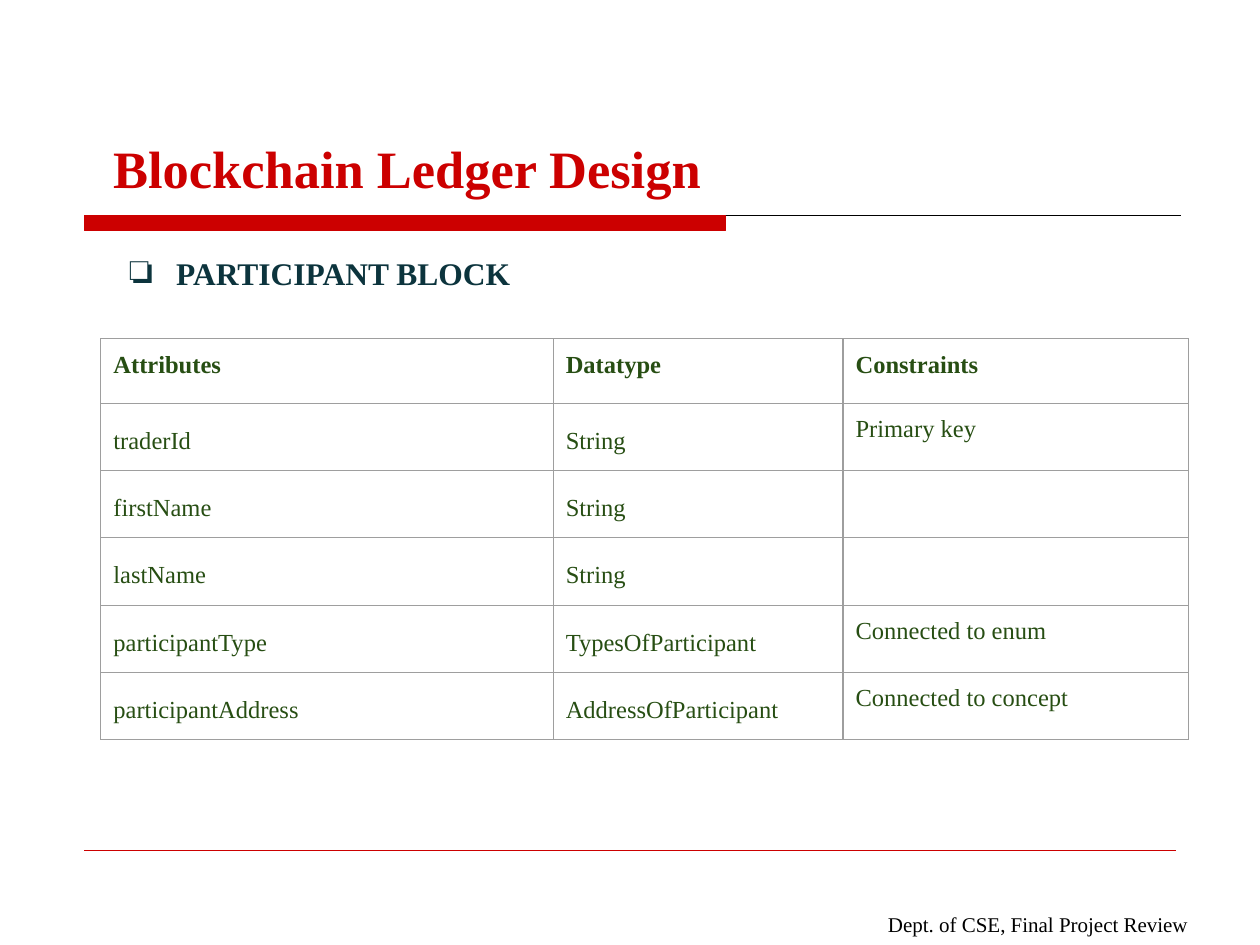
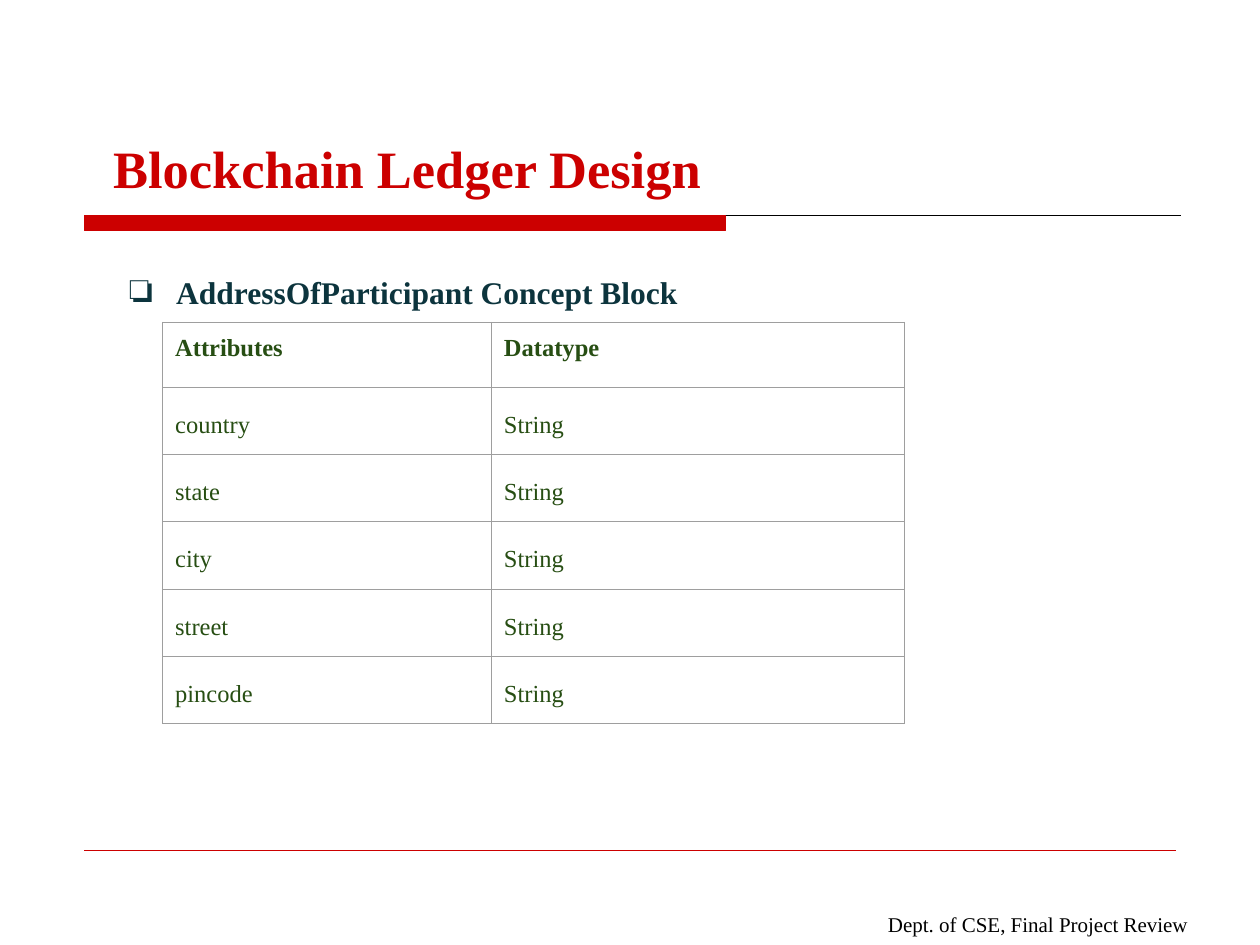
from dataclasses import dataclass

from lxml.etree import SubElement
from pptx import Presentation
from pptx.dml.color import RGBColor as Color
from pptx.enum.shapes import MSO_CONNECTOR as Connector, MSO_SHAPE as Shape
from pptx.enum.text import MSO_ANCHOR as Anchor, PP_ALIGN as Align
from pptx.oxml import parse_xml
from pptx.oxml.ns import nsdecls, qn
from pptx.util import Pt


@dataclass(frozen=True)
class Theme:
    font: str = "Times New Roman"
    red: str = "CC0000"
    black: str = "000000"
    heading: str = "0C343D"
    cell: str = "274E13"
    border: str = "9E9E9E"
    title_size: float = 30
    heading_size: float = 18
    cell_size: float = 14
    footer_size: float = 12
    line_width: float = 0.75
    loose: float = 1.43
    inset: float = 7.2
    header_height: float = 37
    row_height: float = 36.4


class LedgerDeck:
    def __init__(self, theme):
        self.theme = theme
        self.deck = Presentation()
        self.deck.slide_width, self.deck.slide_height = Pt(720), Pt(540)
        self.page = None

    def add_span(self, para, text, size, color, bold=False):
        span = para.add_run()
        span.text = text
        font = span.font
        font.name, font.size, font.bold = self.theme.font, Pt(size), bold
        font.color.rgb = Color.from_string(color)

    def add_text(self, area, text, size, color, bold=False,
                 anchor=Anchor.TOP, align=Align.LEFT, pad=3.6):
        box = self.page.shapes.add_textbox(*map(Pt, area))
        frame = box.text_frame
        frame.word_wrap = True
        frame.vertical_anchor = anchor
        frame.margin_left = frame.margin_right = Pt(self.theme.inset)
        frame.margin_top = frame.margin_bottom = Pt(pad)
        para = frame.paragraphs[0]
        para.alignment = align
        self.add_span(para, text, size, color, bold)
        return para

    def add_line(self, left, right, y, color):
        line = self.page.shapes.add_connector(
            Connector.STRAIGHT, Pt(left), Pt(y), Pt(right), Pt(y))
        line.line.color.rgb = Color.from_string(color)
        line.line.width = Pt(self.theme.line_width)
        SubElement(line._element.spPr, qn("a:effectLst"))

    def add_bar(self, area, color):
        bar = self.page.shapes.add_shape(Shape.RECTANGLE, *map(Pt, area))
        bar.shadow.inherit = False
        bar.fill.solid()
        bar.fill.fore_color.rgb = Color.from_string(color)
        bar.line.color.rgb = Color.from_string(color)
        bar.line.width = Pt(self.theme.line_width)

    def add_page(self, title):
        theme = self.theme
        self.page = self.deck.slides.add_slide(self.deck.slide_layouts[6])
        # Rules above and below the content
        self.add_line(48.2, 674.6, 123.1, theme.black)
        self.add_bar((48.2, 123.1, 366.4, 8.8), theme.red)
        self.add_line(48.2, 672, 486, theme.red)
        # Title and footer
        self.add_text((57.6, 61.2, 605.5, 56.2), title, theme.title_size,
                      theme.red, bold=True, anchor=Anchor.BOTTOM)
        self.add_text((469.4, 513.4, 250.6, 31.7),
                      "Dept. of CSE, Final Project Review ", theme.footer_size,
                      theme.black, align=Align.CENTER, pad=theme.inset)

    def add_heading(self, top, text):
        theme = self.theme
        para = self.add_text((57.6, top, 605.5, 496.8 - top), text,
                             theme.heading_size, theme.heading, bold=True)
        para.line_spacing = theme.loose
        para.space_before = Pt(6)
        # Hanging square bullet
        props = para._p.get_or_add_pPr()
        props.set("marL", str(Pt(36)))
        props.set("indent", str(-Pt(27)))
        bullet_color = SubElement(props, qn("a:buClr"))
        SubElement(bullet_color, qn("a:srgbClr"), val=theme.heading)
        SubElement(props, qn("a:buFont"), typeface=theme.font)
        SubElement(props, qn("a:buChar"), char="❏")

    def add_borders(self, cell):
        props = cell._tc.get_or_add_tcPr()
        for index, side in enumerate("LRTB"):
            props.insert(index, parse_xml(
                f'<a:ln{side} {nsdecls("a")} w="{Pt(self.theme.line_width)}">'
                f'<a:solidFill><a:srgbClr val="{self.theme.border}"/>'
                f'</a:solidFill></a:ln{side}>'))

    def add_table(self, left, top, widths, rows):
        theme = self.theme
        heights = [theme.header_height] + [theme.row_height] * (len(rows) - 1)
        table = self.page.shapes.add_table(
            len(rows), len(widths), Pt(left), Pt(top),
            Pt(sum(widths)), Pt(sum(heights))).table
        table.first_row = table.horz_banding = False
        for column, width in zip(table.columns, widths):
            column.width = Pt(width)
        for r, (values, height) in enumerate(zip(rows, heights)):
            table.rows[r].height = Pt(height)
            for c, value in enumerate(values):
                cell = table.cell(r, c)
                cell.margin_left = cell.margin_right = Pt(theme.inset)
                cell.margin_top = cell.margin_bottom = Pt(theme.inset)
                cell.fill.background()
                self.add_borders(cell)
                if not value:
                    continue
                para = cell.text_frame.paragraphs[0]
                # Names and types are set loosely, header and constraints are not
                if r > 0 and c < 2:
                    para.line_spacing = theme.loose
                self.add_span(para, value, theme.cell_size, theme.cell, r == 0)


def main():
    ledger = LedgerDeck(Theme())
    title = "Blockchain Ledger Design"

    # Participant block
    ledger.add_page(title)
    ledger.add_heading(132.5, "PARTICIPANT BLOCK")
    ledger.add_table(57.6, 193.5, (258.5, 165.6, 197.3), [
        ("Attributes", "Datatype", "Constraints"),
        ("traderId", "String", "Primary key"),
        ("firstName", "String", ""),
        ("lastName", "String", ""),
        ("participantType", "TypesOfParticipant", "Connected to enum"),
        ("participantAddress", "AddressOfParticipant", "Connected to concept"),
    ])

    # Address concept block
    ledger.add_page(title)
    ledger.add_heading(143.3, "AddressOfParticipant Concept Block")
    fields = ("country", "state", "city", "street", "pincode")
    ledger.add_table(92.9, 184.3, (187.9, 236.2), [
        ("Attributes", "Datatype"),
        *((field, "String") for field in fields),
    ])

    ledger.deck.save("out.pptx")


if __name__ == "__main__":
    main()
